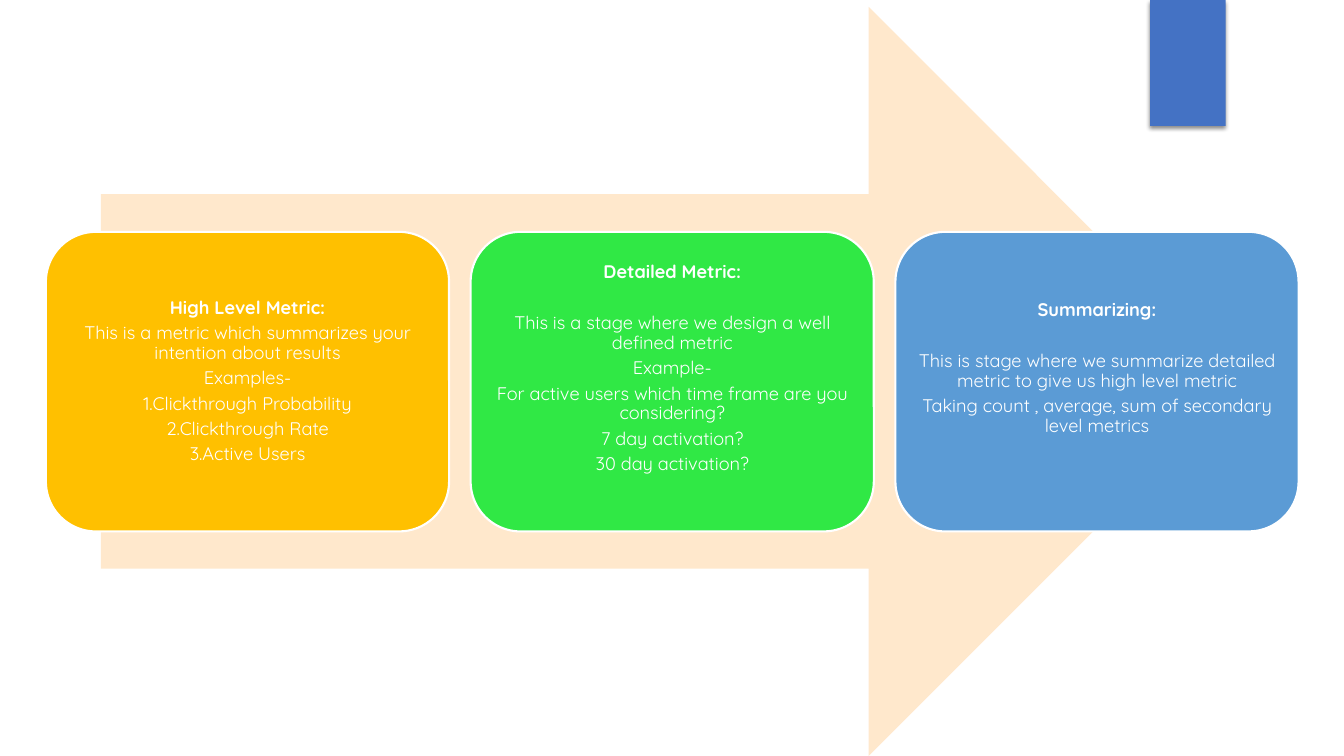
"""Build a slide with three metric stages laid over a wide arrow."""
from dataclasses import dataclass

from pptx import Presentation
from pptx.dml.color import RGBColor
from pptx.enum.shapes import MSO_SHAPE
from pptx.enum.text import MSO_ANCHOR, PP_ALIGN
from pptx.oxml import parse_xml
from pptx.oxml.ns import nsdecls
from pptx.util import Pt


@dataclass(frozen=True)
class Theme:
    font: str = "Quicksand"
    text_size: float = 13
    white: str = "FFFFFF"
    tab: str = "4472C4"
    arrow: str = "FFE8CC"
    high_level: str = "FFC000"
    detailed: str = "30E845"
    summary: str = "5B9BD5"


theme = Theme()


def add_panel(slide, kind, left, top, width, height, fill, outline=None):
    shape = slide.shapes.add_shape(kind, Pt(left), Pt(top), Pt(width), Pt(height))
    shape.shadow.inherit = False
    shape.fill.solid()
    shape.fill.fore_color.rgb = RGBColor.from_string(fill)
    if outline:
        shape.line.color.rgb = RGBColor.from_string(outline)
        shape.line.width = Pt(1.5)
    else:
        shape.line.fill.background()
    return shape


def add_text(paragraph, text, *, bold=False, space_after=4):
    paragraph.text = text
    paragraph.alignment = PP_ALIGN.CENTER
    paragraph.line_spacing = 0.9
    paragraph.space_after = Pt(space_after)
    paragraph.font.name = theme.font
    paragraph.font.size = Pt(theme.text_size)
    paragraph.font.bold = bold
    paragraph.font.color.rgb = RGBColor.from_string(theme.white)


presentation = Presentation()
presentation.slide_width, presentation.slide_height = Pt(960), Pt(540)
slide = presentation.slides.add_slide(presentation.slide_layouts[6])

tab = add_panel(slide, MSO_SHAPE.RECTANGLE, 821.5, 0, 54, 90, theme.tab)
tab_effects = tab._element.spPr.find("{*}effectLst")
tab_effects.append(parse_xml(
    f'<a:outerShdw {nsdecls("a")} blurRad="{Pt(3)}" dist="{Pt(2)}" dir="5400000" rotWithShape="0">'
    '<a:srgbClr val="000000"><a:alpha val="45000"/></a:srgbClr></a:outerShdw>'))

add_panel(slide, MSO_SHAPE.RIGHT_ARROW, 72, 5, 816, 535, theme.arrow)

stages = [
    (theme.high_level, "High Level Metric:", 4, 3.6, [
        "This is a metric which summarizes your intention about results",
        "Examples-",
        "1.Clickthrough Probability",
        "2.Clickthrough Rate",
        "3.Active Users"]),
    (theme.detailed, "Detailed Metric:", 22.6, 22.2, [
        "This is a stage where we design a well defined metric",
        "Example-",
        "For active users which time frame are you considering?",
        "7 day activation?",
        "30 day activation?"]),
    (theme.summary, "Summarizing:", 22.6, 22.2, [
        "This is stage where we summarize detailed metric to give us high level metric",
        "Taking count , average, sum of secondary level metrics"]),
]

for index, (color, heading, heading_gap, bottom_margin, lines) in enumerate(stages):
    card = add_panel(slide, MSO_SHAPE.ROUNDED_RECTANGLE, 32.8 + 303.4 * index, 165.6,
                     288, 214, color, outline=theme.white)
    frame = card.text_frame
    frame.word_wrap = True
    frame.vertical_anchor = MSO_ANCHOR.MIDDLE
    frame.margin_left = frame.margin_right = frame.margin_top = Pt(3.6)
    frame.margin_bottom = Pt(bottom_margin)
    add_text(frame.paragraphs[0], heading, bold=True, space_after=heading_gap)
    for line in lines:
        add_text(frame.add_paragraph(), line)

presentation.save("out.pptx")
